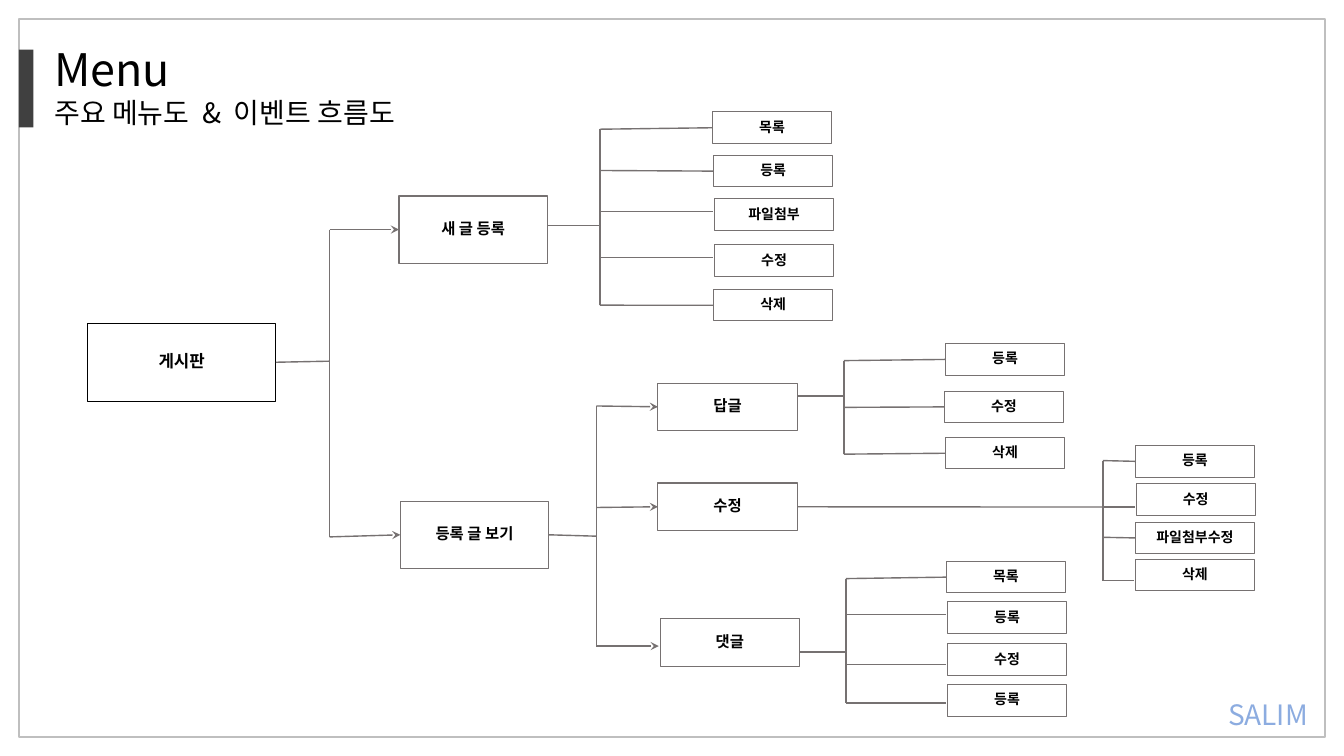
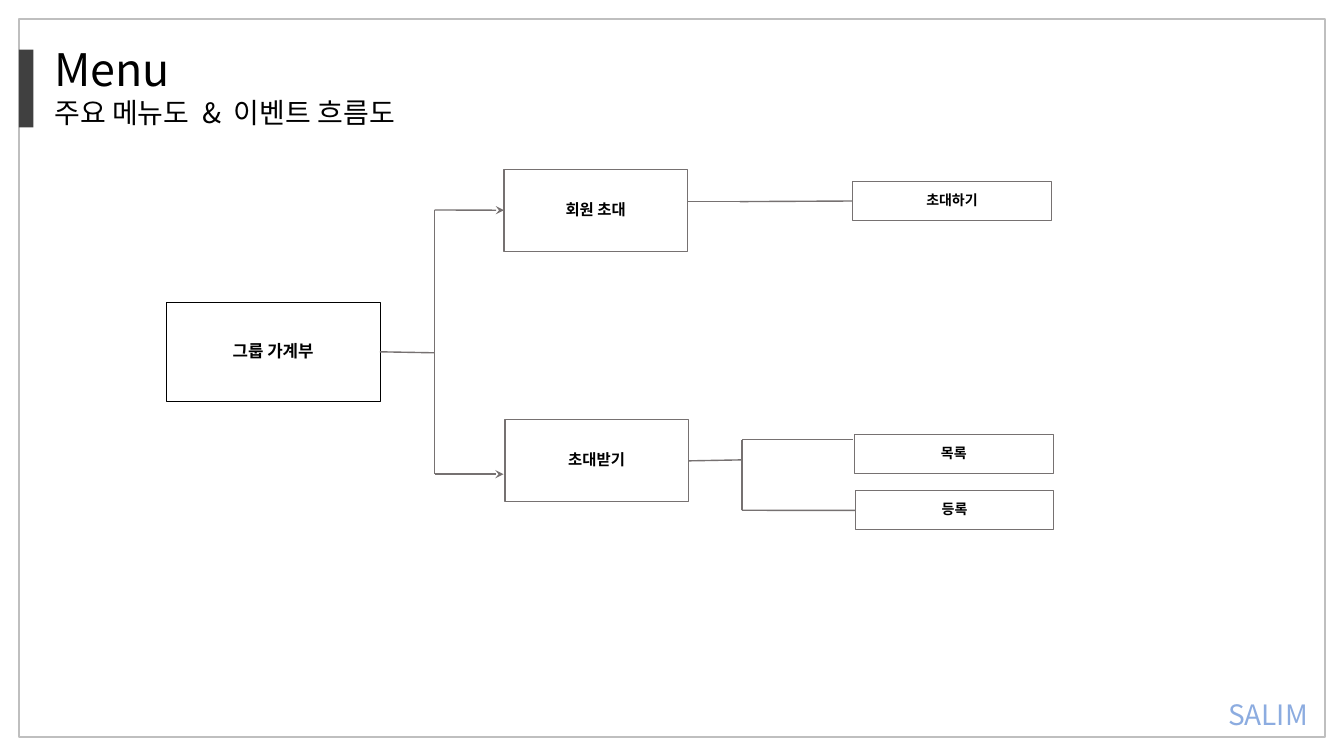
from pptx import Presentation
from pptx.dml.color import RGBColor
from pptx.enum import shapes, text
from pptx.oxml.ns import qn
from pptx.util import Pt
from lxml import etree

COLORS = {
    "frame": "BFBFBF", "band": "404040", "ink": "000000", "line": "767171",
    "paper": "FFFFFF", "sign_start": "8CACE0", "sign_end": "FED3DC",
}
KOREAN_FONT = "Noto Sans CJK KR"
LATIN_FONT = "Arial"

TITLE = "Menu"
SUBTITLE = [("주요 메뉴도", 0), (" ", 450), ("&", 0), (" ", 450), ("이벤트 흐름도", 0)]
SIGNATURE = "SALIM"

STYLES = {
    "root": {"size": 12, "line": "ink", "weight": 0.5, "fill": "paper"},
    "group": {"size": 11, "line": "line", "weight": 0.75, "fill": None},
    "subgroup": {"size": 11, "line": "line", "weight": 0.75, "fill": None},
    "leaf": {"size": 10, "line": "line", "weight": 0.75, "fill": None},
}


def node(kind, label, left, top, stem=None, trunk=None, children=()):
    return {"kind": kind, "label": label, "left": left, "top": top,
            "stem": stem, "trunk": trunk, "children": children}


def leaves(*rows):
    return [(twig, node("leaf", label, left, top)) for twig, label, left, top in rows]


BOARD = node("root", "게시판", 62.5, 231, 258, 235.5, [
    (164, node("group", "새 글 등록", 285, 140, 161, 428.5, leaves(
        (92.3, "목록", 509, 80),
        (121.8, "등록", 509.8, 111),
        (151, "파일첨부", 510.4, 142),
        (184, "수정", 510.4, 175),
        (218, "삭제", 509.8, 206.8)))),
    (383.5, node("group", "등록 글 보기", 286, 358, 383, 426, [
        (290, node("subgroup", "답글", 470, 273.6, 283, 602.8, leaves(
            (257.6, "등록", 675.4, 245.5),
            (291, "수정", 674.6, 279.4),
            (324.4, "삭제", 675.4, 312.5)))),
        (362.5, node("subgroup", "수정", 470, 345, 362.2, 787.8, leaves(
            (329, "등록", 811, 318.3),
            (362.2, "수정", 811.5, 345.6),
            (383.8, "파일첨부수정", 811, 373),
            (414.7, "삭제", 811, 399.6)))),
        (461.5, node("subgroup", "댓글", 471.6, 442, 465.8, 604.2, leaves(
            (413.3, "목록", 676, 401),
            (438.8, "등록", 676.8, 430),
            (474.5, "수정", 676.8, 460),
            (502.2, "등록", 676.8, 489)))),
    ])),
])
LEDGER = node("root", "그룹 가계부", 118.8, 216, 252, 310.4, [
    (150, node("group", "회원 초대", 360, 121, 144, 528.5, leaves(
        (144, "초대하기", 609, 129.6)))),
    (338.7, node("group", "초대받기", 360.7, 300, 328.5, 530, leaves(
        (314, "목록", 610.3, 310.3),
        (364.5, "등록", 610.8, 350.6)))),
])
SLIDES = [
    (BOARD, {"root": (134.5, 55.5), "group": (106, 48),
             "subgroup": (99.5, 34), "leaf": (85, 22.5)}),
    (LEDGER, {"root": (152.6, 70.6), "group": (131, 58.4), "leaf": (142, 28)}),
]


def color(name):
    return RGBColor.from_string(COLORS[name])


def set_all(target, values):
    for name, value in values.items():
        setattr(target, name, value)


def add_run(paragraph, words, size, latin, bold=False, spacing=0):
    run = paragraph.add_run()
    run.text = words
    set_all(run.font, {"size": Pt(size), "bold": bold, "name": latin})
    run.font.color.rgb = color("ink")
    properties = run.font._element
    if spacing:
        properties.set("spc", str(spacing))
    etree.SubElement(properties, qn("a:ea")).set("typeface", KOREAN_FONT)
    return run


def add_box(slide, left, top, width, height, fill=None, line=None, weight=1):
    shape = slide.shapes.add_shape(shapes.MSO_SHAPE.RECTANGLE,
                                   Pt(left), Pt(top), Pt(width), Pt(height))
    shape.shadow.inherit = False
    for name, part in ((fill, shape.fill), (line, shape.line.fill)):
        if name:
            part.solid()
            part.fore_color.rgb = color(name)
        else:
            part.background()
    if line:
        shape.line.width = Pt(weight)
    return shape


def add_text(slide, left, top, width, height):
    box = slide.shapes.add_textbox(Pt(left), Pt(top), Pt(width), Pt(height))
    set_all(box.text_frame, {"word_wrap": True,
                             "auto_size": text.MSO_AUTO_SIZE.SHAPE_TO_FIT_TEXT})
    return box.text_frame


def add_frame(slide):
    add_box(slide, 13.5, 13.5, 933, 513, line="frame")
    add_box(slide, 13.5, 35.5, 10.5, 55.5, fill="band")
    heading = add_text(slide, 31.7, 26.6, 382, 70.6)
    add_run(heading.paragraphs[0], TITLE, 32, KOREAN_FONT)
    subtitle = heading.add_paragraph()
    for words, spacing in SUBTITLE:
        add_run(subtitle, words, 20, KOREAN_FONT, spacing=spacing)
    paragraph = add_text(slide, 864.7, 494.6, 82, 31.5).paragraphs[0]
    paragraph.alignment = text.PP_ALIGN.CENTER
    fill = add_run(paragraph, SIGNATURE, 20, KOREAN_FONT).font.fill
    fill.gradient()
    fill.gradient_angle = 225
    stops = (("sign_start", 0.05), ("sign_end", 0.84))
    for stop, (name, position) in zip(fill.gradient_stops, stops):
        stop.color.rgb = color(name)
        stop.position = position


def add_line(slide, start, end, arrow=False):
    connector = slide.shapes.add_connector(
        shapes.MSO_CONNECTOR.STRAIGHT, *(Pt(value) for value in start + end))
    connector.line.width = Pt(1)
    connector.line.color.rgb = color("line")
    if arrow:
        tail = etree.SubElement(connector.line._get_or_add_ln(), qn("a:tailEnd"))
        tail.set("type", "stealth")
    etree.SubElement(connector._element.spPr, qn("a:effectLst"))
    return connector


def at_middle(shape, y):
    return abs((shape.top + shape.height / 2) - Pt(y)) <= Pt(1.5)


def add_node(slide, item, sizes):
    kind = item["kind"]
    width, height = sizes[kind]
    style = STYLES[kind]
    shape = add_box(slide, item["left"], item["top"], width, height,
                    style["fill"], style["line"], style["weight"])
    margins = {f"margin_{side}": Pt(1.5) for side in ("left", "right", "top", "bottom")}
    set_all(shape.text_frame, {"word_wrap": True,
                               "vertical_anchor": text.MSO_ANCHOR.MIDDLE, **margins})
    paragraph = shape.text_frame.paragraphs[0]
    set_all(paragraph, {"alignment": text.PP_ALIGN.CENTER, "line_spacing": 0.9,
                        "space_after": Pt(style["size"] * 0.35)})
    add_run(paragraph, item["label"], style["size"], LATIN_FONT, bold=True)
    if item["children"]:
        add_branch(slide, item, shape, item["left"] + width, sizes)
    return shape


def add_branch(slide, item, parent, right, sizes):
    stem_y, trunk_x = item["stem"], item["trunk"]
    stem = add_line(slide, (right, stem_y), (trunk_x, stem_y))
    if at_middle(parent, stem_y):
        stem.begin_connect(parent, 3)
    levels = [stem_y] + [twig_y for twig_y, child in item["children"]]
    if min(levels) < max(levels):
        add_line(slide, (trunk_x, min(levels)), (trunk_x, max(levels)))
    for twig_y, child in item["children"]:
        twig = add_line(slide, (trunk_x, twig_y), (child["left"] - 1, twig_y),
                        arrow=child["kind"] != "leaf")
        target = add_node(slide, child, sizes)
        if at_middle(target, twig_y):
            twig.end_connect(target, 1)


def main():
    presentation = Presentation()
    set_all(presentation, {"slide_width": Pt(960), "slide_height": Pt(540)})
    for tree, sizes in SLIDES:
        slide = presentation.slides.add_slide(presentation.slide_layouts[6])
        add_frame(slide)
        add_node(slide, tree, sizes)
    presentation.save("out.pptx")


if __name__ == "__main__":
    main()
